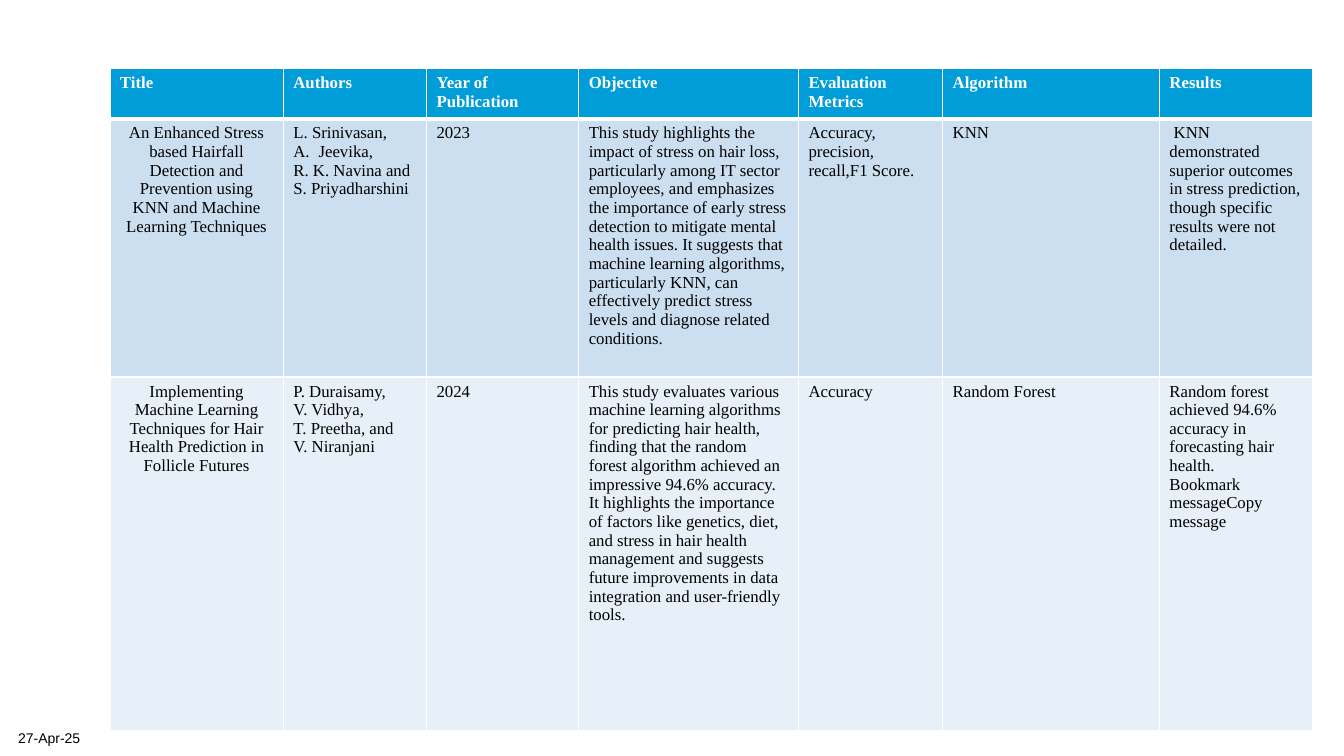
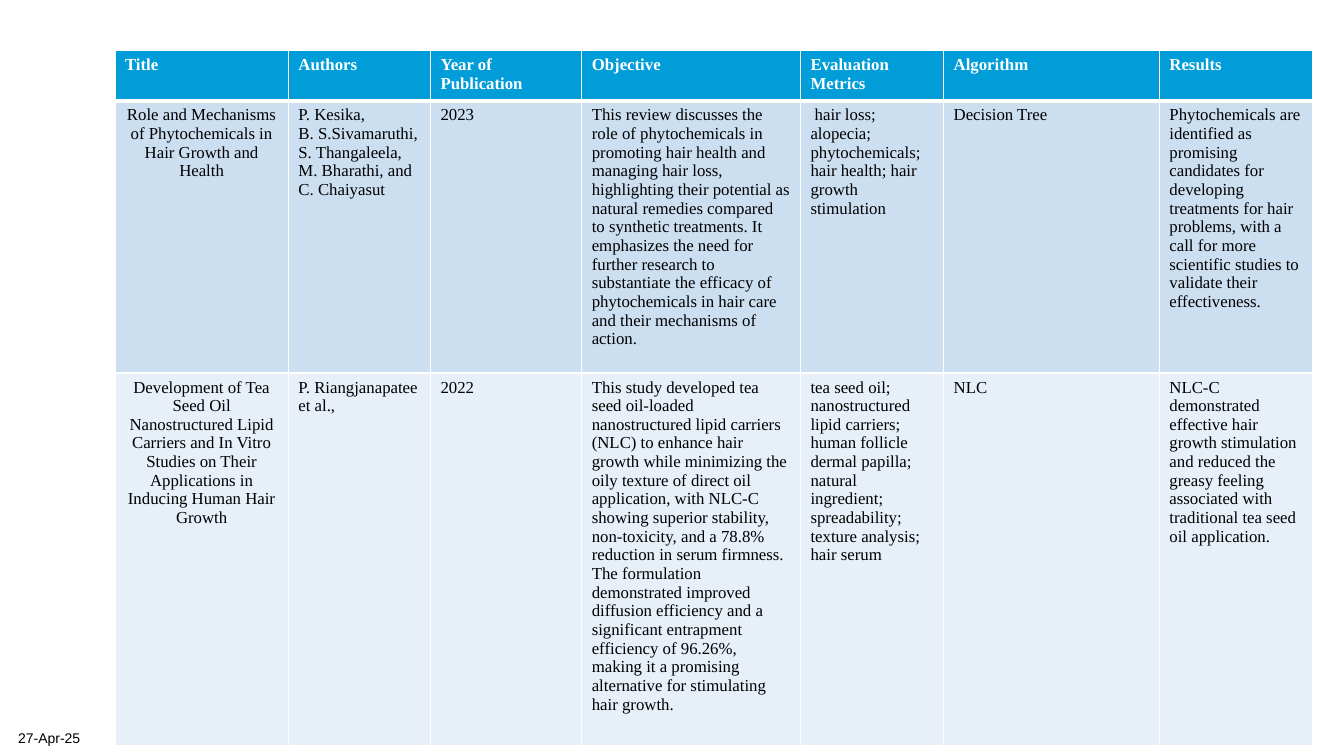
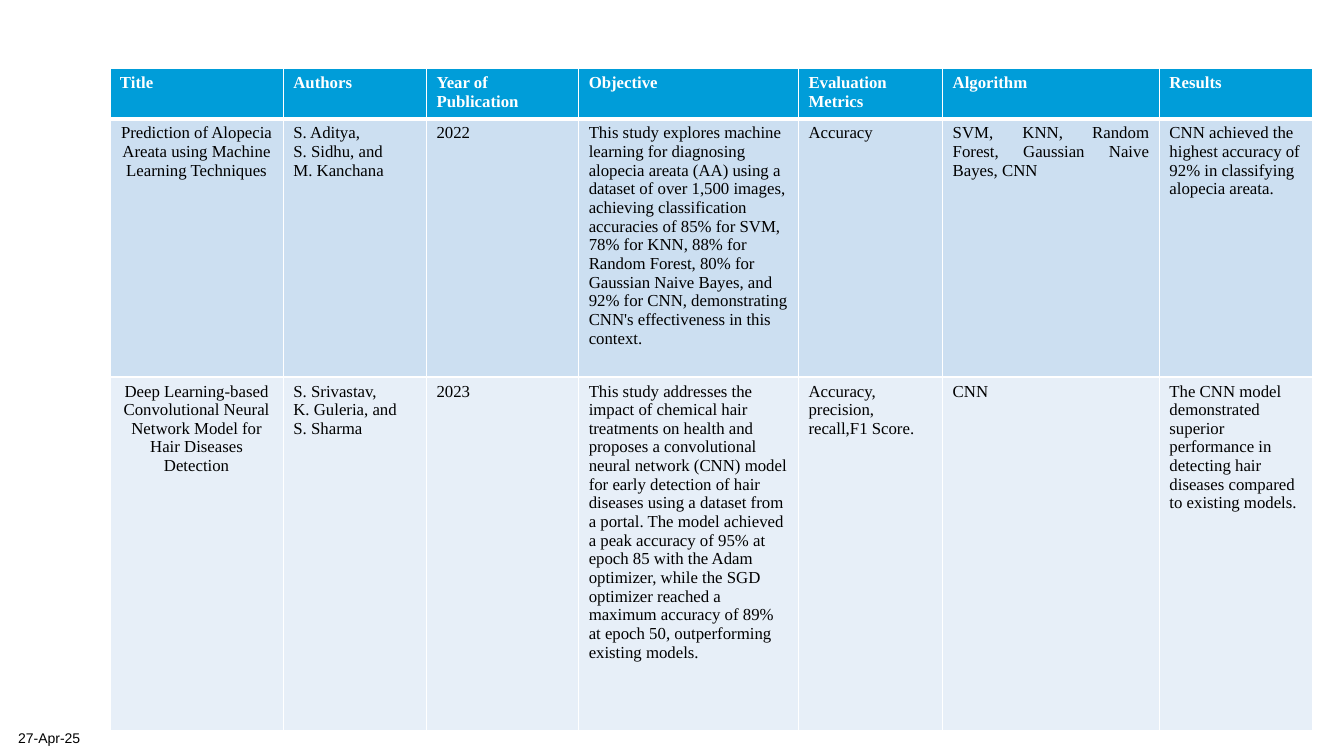
from dataclasses import dataclass, astuple
from typing import Optional

import lxml.etree
import pptx
import pptx.dml.color
import pptx.enum.text
import pptx.oxml.ns
import pptx.slide
import pptx.table
import pptx.text.text
import pptx.util

Inches = pptx.util.Inches
Pt = pptx.util.Pt
ALIGN = pptx.enum.text.PP_ALIGN

COLORS = {
    "white": "FFFFFF",
    "black": "000000",
    "header": "009DD9",
    "band_dark": "CCDFF1",
    "band_light": "E7EFF8",
}
TABLE_FONT = "Times New Roman"
FOOTER_FONT = "Arial"
DATE = "27-Apr-25"
HEADINGS = ("Title", "Authors", "Year of Publication", "Objective",
            "Evaluation Metrics", "Algorithm", "Results")
COLUMN_ALIGNMENTS = (ALIGN.CENTER, ALIGN.LEFT, ALIGN.LEFT, ALIGN.LEFT,
                     ALIGN.LEFT, ALIGN.JUSTIFY, ALIGN.LEFT)
AUTHORS_COLUMN = HEADINGS.index("Authors")
THIN_BORDER = 1
HEADER_BORDER = 3


@dataclass(frozen=True)
class TableLayout:
    left: float
    top: float
    columns: tuple[float, ...]
    rows: tuple[float, ...]


@dataclass(frozen=True)
class Study:
    title: str
    authors: str
    year: str
    objective: str
    metrics: str
    algorithm: str
    results: str


@dataclass(frozen=True)
class SurveySlide:
    layout: TableLayout
    studies: tuple[Study, ...]
    lettered_author: Optional[str] = None


STANDARD = TableLayout(1.09, 0.68, (1.72, 1.42, 1.51, 2.18, 1.43, 2.15, 1.52), (0.5, 2.56, 3.51))
RAISED = TableLayout(1.14, 0.5, (1.72, 1.41, 1.5, 2.17, 1.42, 2.14, 1.52), (0.47, 2.54, 3.48))

SURVEY = (
    SurveySlide(STANDARD, (
        Study(
            "An Enhanced Stress based Hairfall Detection and Prevention using KNN "
            "and Machine Learning Techniques",
            "L. Srinivasan,\nJeevika,\nR. K. Navina and S. Priyadharshini",
            "2023",
            "This study highlights the impact of stress on hair loss, particularly among IT "
            "sector employees, and emphasizes the importance of early stress detection to "
            "mitigate mental health issues. It suggests that machine learning algorithms, "
            "particularly KNN, can effectively predict stress levels and diagnose related "
            "conditions.",
            "Accuracy, precision, recall,F1 Score.",
            "KNN",
            " KNN demonstrated superior outcomes in stress prediction, though specific "
            "results were not detailed.",
        ),
        Study(
            "Implementing Machine Learning Techniques for Hair Health Prediction in "
            "Follicle Futures",
            "P. Duraisamy,\nV. Vidhya,\nT. Preetha, and\nV. Niranjani",
            "2024",
            "This study evaluates various machine learning algorithms for predicting hair "
            "health, finding that the random forest algorithm achieved an impressive 94.6% "
            "accuracy. It highlights the importance of factors like genetics, diet, and "
            "stress in hair health management and suggests future improvements in data "
            "integration and user-friendly tools.",
            "Accuracy",
            "Random Forest",
            "Random forest achieved 94.6% accuracy in forecasting hair health.\n"
            "Bookmark messageCopy message",
        ),
    ), lettered_author="Jeevika,"),
    SurveySlide(RAISED, (
        Study(
            "Role and Mechanisms of Phytochemicals in Hair Growth and Health",
            "P. Kesika,\nB. S.Sivamaruthi, S. Thangaleela, M. Bharathi, and C. Chaiyasut",
            "2023",
            "This review discusses the role of phytochemicals in promoting hair health and "
            "managing hair loss, highlighting their potential as natural remedies compared "
            "to synthetic treatments. It emphasizes the need for further research to "
            "substantiate the efficacy of phytochemicals in hair care and their mechanisms "
            "of action.",
            " hair loss; alopecia; phytochemicals; hair health; hair growth stimulation",
            "Decision Tree",
            "Phytochemicals are identified as promising candidates for developing treatments "
            "for hair problems, with a call for more scientific studies to validate their "
            "effectiveness.",
        ),
        Study(
            "Development of Tea Seed Oil Nanostructured Lipid Carriers and In Vitro Studies "
            "on Their Applications in Inducing Human Hair Growth",
            "P. Riangjanapatee et al.,",
            "2022",
            "This study developed tea seed oil-loaded nanostructured lipid carriers (NLC) to "
            "enhance hair growth while minimizing the oily texture of direct oil "
            "application, with NLC-C showing superior stability, non-toxicity, and a 78.8% "
            "reduction in serum firmness. The formulation demonstrated improved diffusion "
            "efficiency and a significant entrapment efficiency of 96.26%, making it a "
            "promising alternative for stimulating hair growth.",
            "tea seed oil; nanostructured lipid carriers; human follicle dermal papilla; "
            "natural ingredient; spreadability; texture analysis; hair serum",
            "NLC",
            "NLC-C demonstrated effective hair growth stimulation and reduced the greasy "
            "feeling associated with traditional tea seed oil application.",
        ),
    )),
    SurveySlide(STANDARD, (
        Study(
            "Prediction of Alopecia Areata using Machine Learning Techniques",
            "S. Aditya,\nS. Sidhu, and\nM. Kanchana",
            "2022",
            "This study explores machine learning for diagnosing alopecia areata (AA) using "
            "a dataset of over 1,500 images, achieving classification accuracies of 85% for "
            "SVM, 78% for KNN, 88% for Random Forest, 80% for Gaussian Naive Bayes, and 92% "
            "for CNN, demonstrating CNN's effectiveness in this context.",
            "Accuracy",
            "SVM, KNN, Random Forest, Gaussian Naive Bayes, CNN",
            "CNN achieved the highest accuracy of 92% in classifying alopecia areata.",
        ),
        Study(
            "Deep Learning-based Convolutional Neural Network Model for Hair Diseases "
            "Detection",
            "S. Srivastav,\nK. Guleria, and\nS. Sharma",
            "2023",
            "This study addresses the impact of chemical hair treatments on health and "
            "proposes a convolutional neural network (CNN) model for early detection of hair "
            "diseases using a dataset from a portal. The model achieved a peak accuracy of 95% "
            "at epoch 85 with the Adam optimizer, while the SGD optimizer reached a maximum "
            "accuracy of 89% at epoch 50, outperforming existing models.",
            "Accuracy, precision, recall,F1 Score.",
            "CNN",
            "The CNN model demonstrated superior performance in detecting hair diseases "
            "compared to existing models.",
        ),
    )),
)


def rgb(name: str) -> pptx.dml.color.RGBColor:
    return pptx.dml.color.RGBColor.from_string(COLORS[name])


def add_child(parent: lxml.etree._Element, tag: str, **attributes: str) -> lxml.etree._Element:
    return lxml.etree.SubElement(parent, pptx.oxml.ns.qn(tag), attributes)


def style_paragraph(paragraph: pptx.text.text._Paragraph, font_name: str, size: int,
                    color: str, bold: bool = False) -> None:
    font = paragraph.font
    font.name = font_name
    font.size = Pt(size)
    font.bold = bold
    font.color.rgb = rgb(color)


def add_letter(paragraph: pptx.text.text._Paragraph) -> None:
    properties = paragraph._p.get_or_add_pPr()
    properties.set("marL", str(Inches(0.25)))
    properties.set("indent", str(Inches(-0.25)))
    numbering = lxml.etree.Element(pptx.oxml.ns.qn("a:buAutoNum"), {"type": "alphaUcPeriod"})
    properties.insert(0, numbering)


def set_borders(cell: pptx.table._Cell, top: int, bottom: int) -> None:
    properties = cell._tc.get_or_add_tcPr()
    widths = {"a:lnL": THIN_BORDER, "a:lnR": THIN_BORDER, "a:lnT": top, "a:lnB": bottom}
    for tag, width in widths.items():
        line = add_child(properties, tag, w=str(Pt(width)))
        add_child(add_child(line, "a:solidFill"), "a:srgbClr", val=COLORS["white"])


def fill_cell(cell: pptx.table._Cell, text: str, row: int, column: int) -> None:
    is_header = row == 0
    set_borders(cell, HEADER_BORDER if row == 1 else THIN_BORDER,
                HEADER_BORDER if is_header else THIN_BORDER)
    cell.fill.solid()
    cell.fill.fore_color.rgb = rgb(("header", "band_dark", "band_light")[row])
    cell.text = text
    for paragraph in cell.text_frame.paragraphs:
        paragraph.alignment = ALIGN.LEFT if is_header else COLUMN_ALIGNMENTS[column]
        style_paragraph(paragraph, TABLE_FONT, 12, "white" if is_header else "black", is_header)


def add_date(slide: pptx.slide.Slide) -> None:
    frame = slide.shapes.add_textbox(Inches(0.18), Inches(7), Inches(3.11), Inches(0.4)).text_frame
    frame.word_wrap = True
    frame.margin_left = frame.margin_right = frame.margin_top = frame.margin_bottom = 0
    frame.vertical_anchor = pptx.enum.text.MSO_ANCHOR.BOTTOM
    frame.text = DATE
    style_paragraph(frame.paragraphs[0], FOOTER_FONT, 10, "black")


def add_survey_table(slide: pptx.slide.Slide, survey: SurveySlide) -> None:
    layout = survey.layout
    table = slide.shapes.add_table(
        len(layout.rows), len(layout.columns), Inches(layout.left), Inches(layout.top),
        Inches(sum(layout.columns)), Inches(sum(layout.rows))).table
    table.horz_banding = False
    for column, width in zip(table.columns, layout.columns):
        column.width = Inches(width)
    for row, height in zip(table.rows, layout.rows):
        row.height = Inches(height)
    contents = (HEADINGS, *(astuple(study) for study in survey.studies))
    for row_index, texts in enumerate(contents):
        for column_index, text in enumerate(texts):
            fill_cell(table.cell(row_index, column_index), text, row_index, column_index)
        for paragraph in table.cell(row_index, AUTHORS_COLUMN).text_frame.paragraphs:
            if paragraph.text == survey.lettered_author:
                add_letter(paragraph)


def main() -> None:
    presentation = pptx.Presentation()
    presentation.slide_width = Inches(13.33)
    presentation.slide_height = Inches(7.5)
    for survey in SURVEY:
        slide = presentation.slides.add_slide(presentation.slide_layouts[6])
        add_date(slide)
        add_survey_table(slide, survey)
    presentation.save("out.pptx")


if __name__ == "__main__":
    main()
